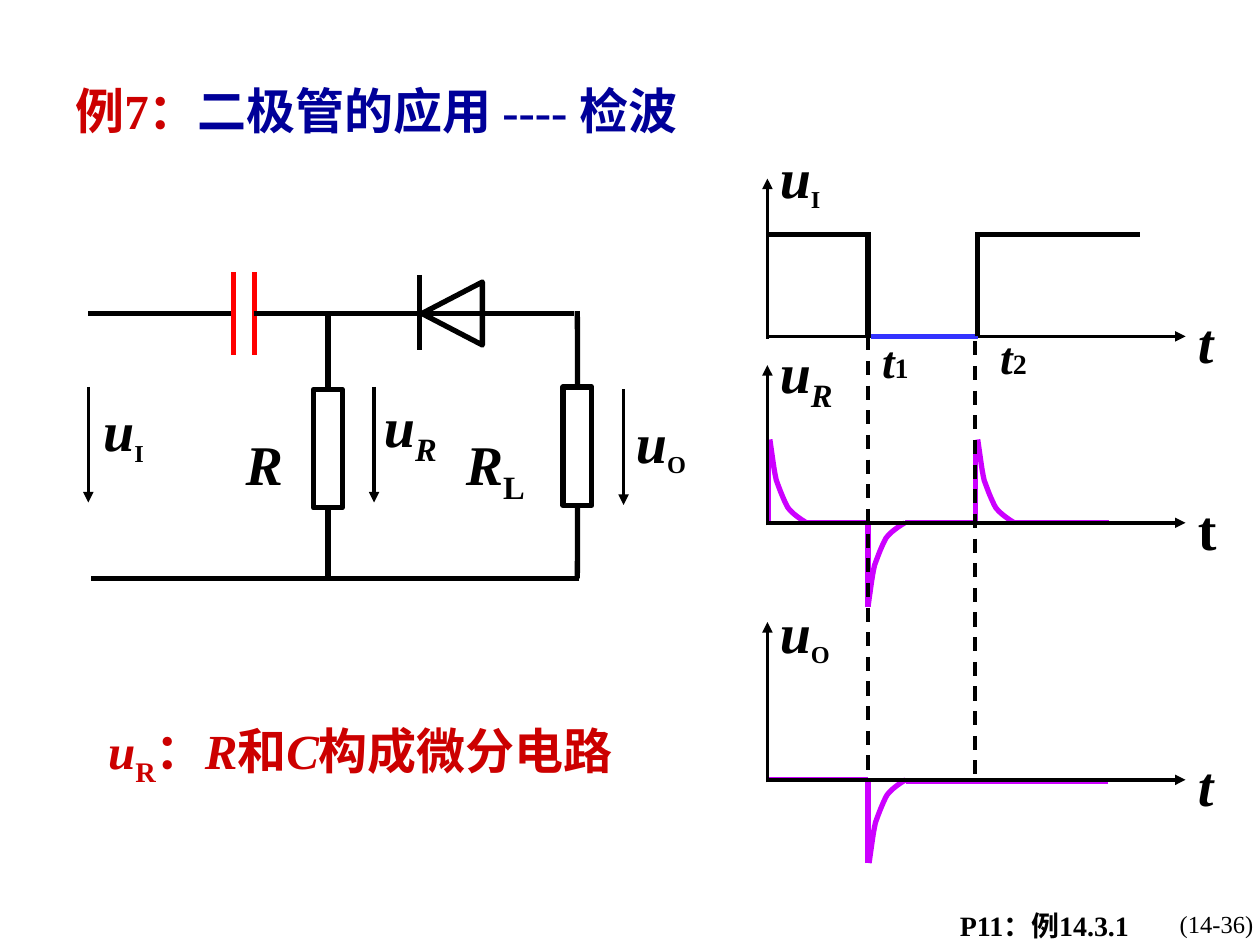
from lxml import etree
from pptx import Presentation
from pptx.dml.color import RGBColor
from pptx.enum import dml, shapes, text
from pptx.oxml.ns import qn
from pptx.util import Cm, Pt

COLORS = {"ink": "000000", "red": "CC0000", "navy": "000099",
          "plate": "FF0000", "pulse": "CC00FF", "blue": "3333FF"}
FONT = "Times New Roman"
TOP, BOTTOM = 0, 2  # connection sites of a rectangle


def rgb(name):
    return RGBColor.from_string(COLORS[name])


def add_run(p, content, size=32, color="ink", bold=True, italic=False, sub=False):
    r = p.add_run()
    r.text = content
    f = r.font
    f.name, f.size, f.bold, f.italic = FONT, Pt(size), bold, italic
    f.color.rgb = rgb(color)
    if sub:
        r._r.get_or_add_rPr().set("baseline", "-25000")


class Board:
    """Holds the style and the current slide; lengths are in centimetres."""

    def __init__(self, prs):
        self.s = prs.slides.add_slide(prs.slide_layouts[1])
        self.thick, self.thin = Pt(3), Pt(2)

    def fill_frame(self, sp, box, runs, align=text.PP_ALIGN.LEFT,
                   anchor=text.MSO_ANCHOR.TOP, wrap=True, inset=0.13, tab=None):
        sp.left, sp.top, sp.width, sp.height = (Cm(v) for v in box)
        tf = sp.text_frame
        tf.auto_size = text.MSO_AUTO_SIZE.NONE
        tf.word_wrap, tf.vertical_anchor = wrap, anchor
        tf.margin_left = tf.margin_right = Cm(0.25)
        tf.margin_top, tf.margin_bottom = Cm(inset), Cm(0.13)
        p = tf.paragraphs[0]
        p.alignment, p.space_before = align, Pt(0)
        pPr = p._p.get_or_add_pPr()
        pPr.set("marL", "0")
        pPr.set("indent", "0")
        etree.SubElement(pPr, qn("a:buNone"))
        if tab:
            tabs = etree.SubElement(pPr, qn("a:tabLst"))
            etree.SubElement(tabs, qn("a:tab"), pos=str(int(Cm(tab))), algn="l")
        for content, fmt in runs:
            add_run(p, content, **fmt)

    def label(self, box, runs, **frame):
        sp = self.s.shapes.add_textbox(0, 0, 0, 0)
        self.fill_frame(sp, box, runs, **frame)

    def symbol(self, box, name, sub=None, sub_size=24, sub_italic=False, **frame):
        runs = [(name, dict(italic=True))]
        if sub:
            runs.append((sub, dict(size=sub_size, italic=sub_italic, sub=True)))
        self.label(box, runs, **frame)

    def line(self, x1, y1, x2, y2, color="ink", width=None, arrow=False, dash=False):
        c = self.s.shapes.add_connector(shapes.MSO_CONNECTOR.STRAIGHT,
                                        Cm(x1), Cm(y1), Cm(x2), Cm(y2))
        c.line.color.rgb = rgb(color)
        c.line.width = width or self.thick
        if dash:
            c.line.dash_style = dml.MSO_LINE.DASH
        if arrow:
            etree.SubElement(c.line._get_or_add_ln(), qn("a:tailEnd"), type="triangle")
        etree.SubElement(c._element.spPr, qn("a:effectLst"))
        return c

    def arrow(self, *ends):
        self.line(*ends, width=self.thin, arrow=True)

    def outline(self, sp, color="ink"):
        sp.shadow.inherit = False
        sp.fill.background()
        sp.line.color.rgb = rgb(color)
        sp.line.width = self.thick
        return sp

    def shape(self, kind, *box):
        return self.outline(self.s.shapes.add_shape(kind, *(Cm(v) for v in box)))

    def resistor(self, x, y, wire_top, wire_bottom):
        w, h = 0.58, 2.39
        sp = self.shape(shapes.MSO_SHAPE.RECTANGLE, x, y, w, h)
        mid = x + w / 2
        self.line(mid, wire_top, mid, y).end_connect(sp, TOP)
        self.line(mid, y + h, mid, wire_bottom).begin_connect(sp, BOTTOM)

    def decay(self, x, y, down):
        """Exponential-looking curve from its foot (x, y) to the peak at its left."""
        knots = [(0, 0), (-.13, .08), (-.28, .18), (-.38, .31), (-.46, .46),
                 (-.53, .64), (-.61, .86), (-.66, 1.07), (-.71, 1.5), (-.74, 1.68)]
        pts, steps = [], 8
        for k in (0, 3, 6):
            for i in range(1, steps + 1):
                t = i / steps
                weights = ((1-t)**3, 3*t*(1-t)**2, 3*t*t*(1-t), t**3)
                dx, dy = (sum(w * q[a] for w, q in zip(weights, knots[k:k+4]))
                          for a in (0, 1))
                pts.append((Cm(x + dx), Cm(y + (dy if down else -dy))))
        fb = self.s.shapes.build_freeform(Cm(x), Cm(y))
        fb.add_line_segments(pts, close=False)
        self.outline(fb.convert_to_shape(), "pulse")


def draw_circuit(b):
    wire_y, ground_y = 6.32, 11.66
    # Capacitor and upper wires
    b.line(1.78, wire_y, 4.7, wire_y)
    for x in (4.7, 5.13):
        b.line(x, 5.49, x, 7.16, "plate")
    b.line(5.13, wire_y, 11.58, wire_y)
    # Diode
    b.line(8.46, 5.54, 8.46, 7.06)
    b.shape(shapes.MSO_SHAPE.ISOSCELES_TRIANGLE, 8.48, 5.71, 1.27, 1.22).rotation = 270
    b.line(7.54, wire_y, 10.77, wire_y)
    # Resistors and ground wire
    b.resistor(6.32, 7.85, wire_y, 11.71)
    b.resistor(11.35, 7.8, 6.27, ground_y)
    b.line(11.68, ground_y, 1.83, ground_y)
    # Voltage arrows and names
    for x, y in ((1.78, 7.8), (7.54, 7.8), (12.57, 7.85)):
        b.arrow(x, y, x, y + 2.33)
    b.symbol((4.7, 8.53, 1.65, 1.63), "R")
    b.symbol((9.14, 8.53, 2.21, 1.8), "R", "L", 32)
    b.symbol((1.83, 7.85, 2.29, 1.7), "u", "I")
    b.symbol((7.49, 7.9, 2.29, 1.68), "u", "R", 32, True, inset=0)
    b.symbol((12.57, 8.08, 2.29, 1.7), "u", "O")


def draw_waveforms(b):
    x0, x_end, t1, t2 = 15.47, 23.9, 17.5, 19.66
    base_i, base_r, base_o = 6.78, 10.54, 15.72
    # Output pulse
    b.line(t1, 17.4, t1, base_o, "pulse")
    b.line(x0, base_o, t1, base_o, "pulse")
    b.decay(18.26, base_o, down=True)
    b.line(18.26, 15.75, 22.33, 15.75, "pulse")
    # Differentiated pulses
    b.line(t1, 10.59, t1, 12.24, "pulse")
    for x in (15.49, t2):
        b.line(x, 8.9, x, base_r, "pulse")
    for foot, end, down in ((16.26, t1, False), (18.24, t2, True), (20.45, 22.35, False)):
        b.decay(foot, base_r, down)
        b.line(foot, base_r, end, base_r, "pulse")
    # Axes
    for base, slanted in ((base_i, True), (base_r, False), (base_o, True)):
        b.arrow(x0, base + 0.05, x0, base - 3.18)
        b.arrow(x0, base, x_end, base)
        b.label((x_end, base - 0.71, 1.17, 1.63), [("t", dict(italic=slanted))])
    # Square input
    high = 4.72
    b.line(x0, high, 17.55, high)
    b.line(t1, high, t1, base_i)
    b.line(17.55, base_i, 19.71, base_i, "blue")
    b.line(19.71, base_i, 19.71, high)
    b.line(t2, high, 22.99, high)
    # Time marks
    b.line(t1, base_i, t1, 15.77, width=b.thin, dash=True)
    b.line(t2, 6.88, t2, base_o, width=b.thin, dash=True)
    for n, x, y in (("1", 17.53, 6.58), ("2", 19.91, 6.5)):
        b.label((x, y, 1.04, 1.37), [("t", dict(size=26, italic=True)), (n, dict(size=16))],
                align=text.PP_ALIGN.CENTER, anchor=text.MSO_ANCHOR.MIDDLE, wrap=False)
    # Axis names
    b.symbol((x0, 2.74, 2.79, 1.7), "u", "I")
    b.symbol((x0, 6.68, 2.79, 1.8), "u", "R", 32, True)
    b.symbol((x0, 11.91, 2.79, 1.7), "u", "O")


def main():
    prs = Presentation()
    prs.slide_width, prs.slide_height = Cm(25.4), Cm(19.05)
    b = Board(prs)
    title, body = b.s.placeholders

    # Title and remark
    b.fill_frame(title, (1.27, 1.5, 19.69, 1.45),
                 [("例7：", dict(size=28, color="red")),
                  ("二极管的应用 ----\t检波", dict(size=28, color="navy"))], tab=11.35)
    red = dict(size=28, color="red")
    slanted = dict(red, italic=True)
    b.fill_frame(body, (1.93, 14.4, 11.61, 2.79),
                 [("u", slanted), ("R", dict(red, sub=True)), ("：", red), ("R", slanted),
                  ("和", red), ("C", slanted), ("构成微分电路", red)])

    draw_circuit(b)
    draw_waveforms(b)

    # Reference and page number
    b.label((19.1, 18.19, 4.52, 0.86), [("P11：例14.3.1", dict(size=16))])
    b.label((23.65, 18.21, 1.75, 0.84), [("(14-36)", dict(size=14, bold=False))],
            align=text.PP_ALIGN.CENTER, anchor=text.MSO_ANCHOR.MIDDLE, wrap=False)
    prs.save("out.pptx")


if __name__ == "__main__":
    main()
